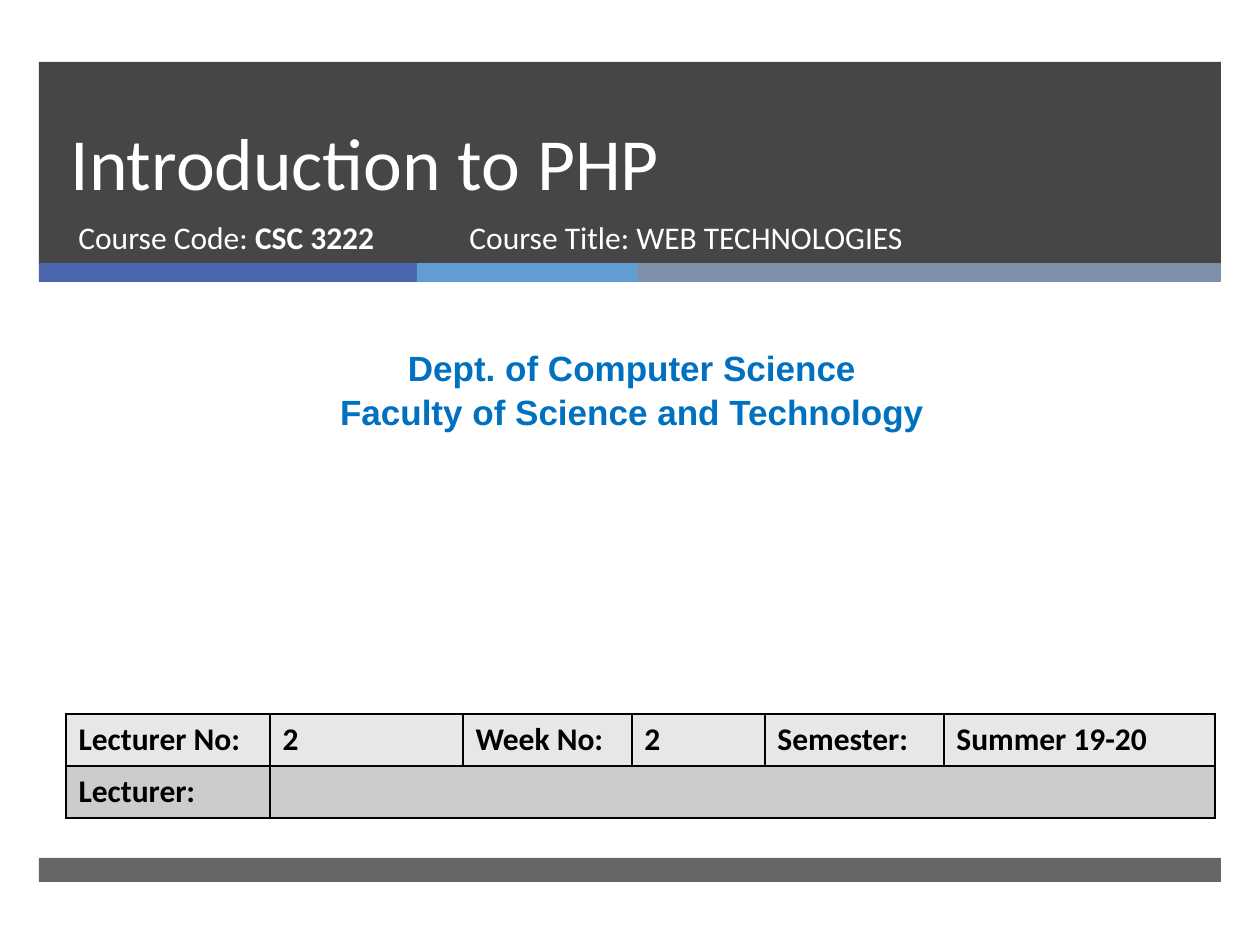
from dataclasses import dataclass

from lxml.etree import SubElement
from pptx import Presentation
from pptx.dml.color import RGBColor
from pptx.enum.shapes import MSO_SHAPE
from pptx.enum.text import MSO_ANCHOR, MSO_AUTO_SIZE, PP_ALIGN
from pptx.oxml.ns import qn
from pptx.util import Emu, Pt

EMU_PER_PX = 914400 / 126
WHITE = RGBColor(0xFF, 0xFF, 0xFF)
BLACK = RGBColor(0x00, 0x00, 0x00)
CHARCOAL = RGBColor(0x26, 0x26, 0x26)
INDIGO = RGBColor(0x4A, 0x66, 0xAC)
SKY = RGBColor(0x62, 0x9D, 0xD1)
SLATE = RGBColor(0x7F, 0x8F, 0xA9)
DEPT_BLUE = RGBColor(0x00, 0x70, 0xC0)
ROW_FILLS = (RGBColor(0xE7, 0xE7, 0xE7), RGBColor(0xCC, 0xCC, 0xCC))


def px(n: int) -> Emu:
    return Emu(round(n * EMU_PER_PX))


@dataclass(frozen=True)
class Band:
    x: int
    y: int
    w: int
    h: int
    color: RGBColor
    opacity: int = 100


@dataclass(frozen=True)
class Run:
    text: str
    bold: bool = False


@dataclass(frozen=True)
class Style:
    size: int
    color: RGBColor
    font: str = "Calibri"


@dataclass(frozen=True)
class Label:
    x: int
    y: int
    w: int
    h: int
    lines: tuple[tuple[Run, ...], ...]
    style: Style
    align: PP_ALIGN = PP_ALIGN.LEFT
    spacing: float = 1.0


HEADING = Style(42, WHITE)
COURSE = Style(18, WHITE)
DEPT = Style(20, DEPT_BLUE, "Arial")
CELL = Style(18, BLACK)

BANDS = (
    Band(39, 62, 1182, 202, CHARCOAL, 85),
    Band(39, 263, 378, 19, INDIGO),
    Band(417, 263, 221, 19, SKY),
    Band(638, 263, 583, 19, SLATE),
    Band(39, 858, 1182, 24, CHARCOAL, 70),
)
LABELS = (
    Label(66, 212, 384, 67, ((Run("Course Code: "), Run("CSC 3222", True)),), COURSE),
    Label(10, 338, 1244, 97,
          ((Run("Dept. of Computer Science", True),),
           (Run("Faculty of Science and Technology", True),)),
          DEPT, PP_ALIGN.CENTER, 1.05),
    Label(457, 212, 573, 67, ((Run("Course Title: WEB TECHNOLOGIES"),),), COURSE),
)
COL_WIDTHS = (204, 193, 169, 133, 179, 271)
ROW_HEIGHT = 52
ROWS = (
    ("Lecturer No:", "2", "Week No:", "2", "Semester:", "Summer 19-20"),
    ("Lecturer:", "", "", "", "", ""),
)


def add_run(p, run: Run, style: Style) -> None:
    r = p.add_run()
    r.text = run.text
    r.font.name = style.font
    r.font.size = Pt(style.size)
    r.font.bold = run.bold
    r.font.color.rgb = style.color


def add_band(s, band: Band) -> None:
    sp = s.shapes.add_shape(MSO_SHAPE.RECTANGLE, px(band.x), px(band.y), px(band.w), px(band.h))
    sp.shadow.inherit = False
    sp.line.fill.background()
    sp.fill.solid()
    sp.fill.fore_color.rgb = band.color
    if band.opacity < 100:
        color = sp.fill._xPr.find(qn("a:solidFill"))[0]
        SubElement(color, qn("a:alpha"), val=str(band.opacity * 1000))


def set_title(s, text: str) -> None:
    """Place the title placeholder in front of the header band."""
    title = s.shapes.title
    s.shapes._spTree.append(title._element)
    title.left, title.top, title.width, title.height = px(58), px(62), px(1076), px(150)
    tf = title.text_frame
    tf.auto_size = MSO_AUTO_SIZE.NONE
    tf.vertical_anchor = MSO_ANCHOR.BOTTOM
    p = tf.paragraphs[0]
    p.alignment = PP_ALIGN.LEFT
    p.line_spacing = Pt(46)
    add_run(p, Run(text), HEADING)


def add_label(s, label: Label) -> None:
    tf = s.shapes.add_textbox(px(label.x), px(label.y), px(label.w), px(label.h)).text_frame
    tf.word_wrap = True
    for i, line in enumerate(label.lines):
        p = tf.add_paragraph() if i else tf.paragraphs[0]
        p.alignment = label.align
        p.line_spacing = label.spacing
        for run in line:
            add_run(p, run, label.style)


def format_cell(cell, fill: RGBColor) -> None:
    """Draw 1 pt black borders on all sides, then fill the cell."""
    tc_pr = cell._tc.get_or_add_tcPr()
    for side in ("a:lnL", "a:lnR", "a:lnT", "a:lnB"):
        ln = SubElement(tc_pr, qn(side), w=str(Pt(1)))
        SubElement(SubElement(ln, qn("a:solidFill")), qn("a:srgbClr"), val=str(BLACK))
    cell.fill.solid()
    cell.fill.fore_color.rgb = fill


def add_lecture_table(s) -> None:
    table = s.shapes.add_table(
        len(ROWS), len(COL_WIDTHS), px(66), px(714),
        px(sum(COL_WIDTHS)), px(ROW_HEIGHT * len(ROWS))).table
    table.first_row = table.horz_banding = False
    for column, width in zip(table.columns, COL_WIDTHS):
        column.width = px(width)
    for row, texts, fill in zip(table.rows, ROWS, ROW_FILLS):
        row.height = px(ROW_HEIGHT)
        for cell, text in zip(row.cells, texts):
            format_cell(cell, fill)
            if text:
                add_run(cell.text_frame.paragraphs[0], Run(text, True), CELL)
    table.cell(1, 1).merge(table.cell(1, len(COL_WIDTHS) - 1))


def main() -> None:
    prs = Presentation()
    prs.slide_width, prs.slide_height = px(1260), px(945)
    s = prs.slides.add_slide(prs.slide_layouts[5])
    for band in BANDS:
        add_band(s, band)
    set_title(s, "Introduction to PHP")
    for label in LABELS:
        add_label(s, label)
    add_lecture_table(s)
    prs.save("out.pptx")


if __name__ == "__main__":
    main()
